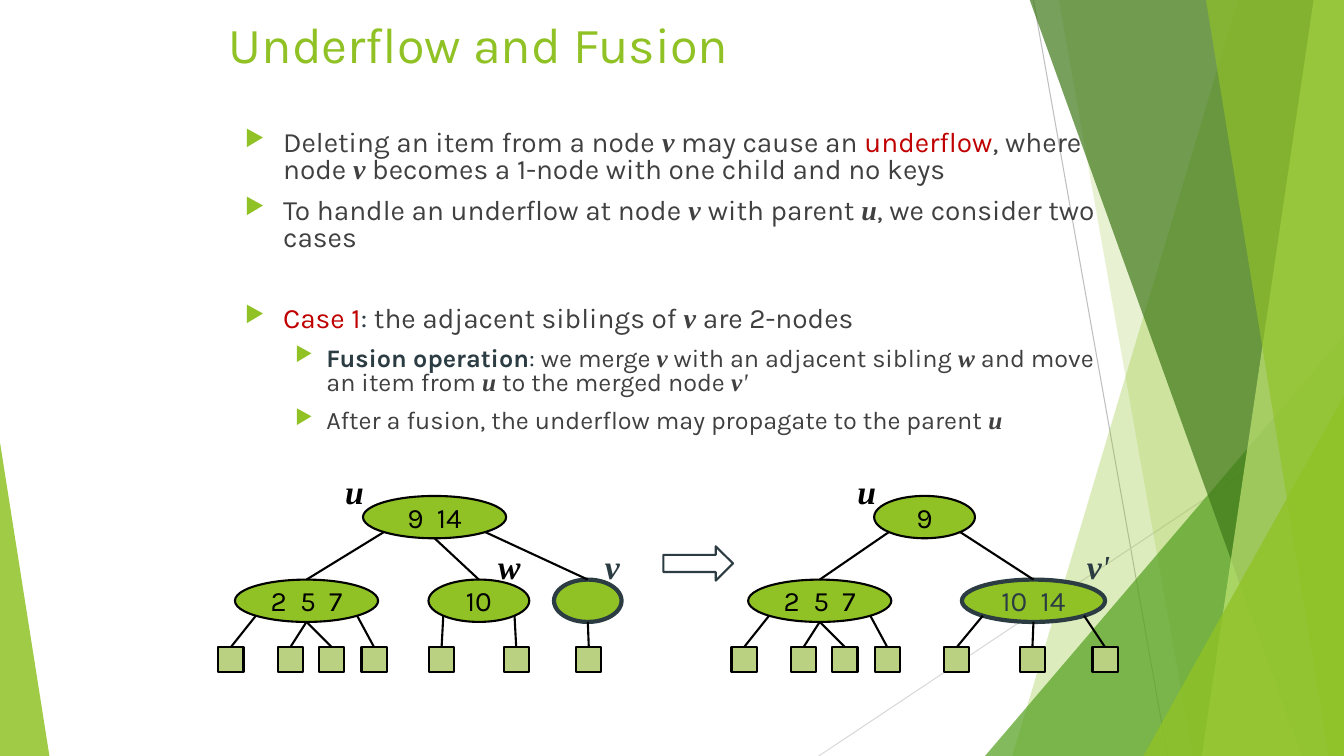
from lxml import etree
from pptx import Presentation
from pptx import util as u
from pptx.dml.color import RGBColor
from pptx.enum import shapes, text
from pptx.oxml import ns

COLORS = {
    "green": "90C226", "mid": "54A021", "deep": "3F7819", "lime": "C0E474",
    "leaf": "B9D181", "body": "404040", "dark": "2C3C43", "red": "C00000",
    "black": "000000", "grey": "BFBFBF", "pale": "D9D9D9",
}
SANS, SERIF = "Karla", "Times New Roman"
KINDS = shapes.MSO_SHAPE
NODE_H, LEAF = 0.42, 0.25
CHILD_TOP, LEAF_TOP = 5.75, 6.42


def rgb(name):
    return RGBColor.from_string(COLORS[name])


def add_run(p, content, size=20, color="body", font=SANS, bold=False, italic=False):
    r = p.add_run()
    r.text = content
    r.font.size, r.font.name = u.Pt(size), font
    r.font.bold, r.font.italic = bold, italic
    r.font.color.rgb = rgb(color)


def site(node, side, edge=1):
    """Point on an ellipse: side -1, 0 or 1; edge 1 is the lower half, -1 the upper."""
    cx, top, width = node
    k = 0.707 if side else 1
    return cx + side * k * width / 2, top + NODE_H / 2 * (1 + edge * k)


class Slide:
    def __init__(self, prs):
        self.s = prs.slides.add_slide(prs.slide_layouts[6])

    def paint(self, sp, fill=None, line=None, weight=1.5, alpha=None):
        sp.shadow.inherit = False
        if fill:
            sp.fill.solid()
            sp.fill.fore_color.rgb = rgb(fill)
            if alpha:
                clr = sp._element.spPr.find(".//" + ns.qn("a:srgbClr"))
                etree.SubElement(clr, ns.qn("a:alpha"), val=str(alpha * 1000))
        else:
            sp.fill.background()
        if line:
            sp.line.color.rgb = rgb(line)
            sp.line.width = u.Pt(weight)
        else:
            sp.line.fill.background()
        return sp

    def shape(self, kind, box, adj=(), **style):
        sp = self.s.shapes.add_shape(kind, *map(u.Inches, box))
        for i, value in enumerate(adj):
            sp.adjustments[i] = value
        return self.paint(sp, **style)

    def polygon(self, points, **style):
        pts = [(u.Inches(x), u.Inches(y)) for x, y in points]
        builder = self.s.shapes.build_freeform(*pts[0])
        builder.add_line_segments(pts[1:], close=True)
        return self.paint(builder.convert_to_shape(), **style)

    def line(self, start, end, color="black", weight=1.5):
        c = self.s.shapes.add_connector(
            shapes.MSO_CONNECTOR.STRAIGHT, *map(u.Inches, (*start, *end)))
        c.line.color.rgb = rgb(color)
        c.line.width = u.Pt(weight)
        etree.SubElement(c._element.spPr, ns.qn("a:effectLst"))

    def textbox(self, box, wrap=True):
        tf = self.s.shapes.add_textbox(*map(u.Inches, box)).text_frame
        tf.word_wrap = wrap
        return tf

    def bullet(self, p, level, before):
        p.line_spacing, p.space_before = 0.8, u.Pt(before)
        p.level = level
        margin, indent = ((0.38, -0.38), (0.81, -0.31))[level]
        pPr = p._p.get_or_add_pPr()
        pPr.set("marL", str(u.Inches(margin)))
        pPr.set("indent", str(u.Inches(indent)))
        clr = etree.SubElement(pPr, ns.qn("a:buClr"))
        etree.SubElement(clr, ns.qn("a:srgbClr"), val=COLORS["green"])
        etree.SubElement(pPr, ns.qn("a:buSzPct"), val="80000")
        etree.SubElement(pPr, ns.qn("a:buChar"), char="▶")

    def label(self, name, box, color="black"):
        tf = self.textbox(box, wrap=False)
        tf.margin_left = tf.margin_right = tf.margin_top = tf.margin_bottom = 0
        p = tf.paragraphs[0]
        p.alignment = text.PP_ALIGN.CENTER
        for ch in name:
            add_run(p, ch, size=24, color=color, font=SERIF, bold=ch != "'", italic=True)

    def node(self, keys, node, line="black", weight=1.5, color="black"):
        cx, top, width = node
        sp = self.shape(KINDS.OVAL, (cx - width / 2, top, width, NODE_H),
                        fill="green", line=line, weight=weight)
        if keys:
            tf = sp.text_frame
            tf.word_wrap = False
            tf.vertical_anchor = text.MSO_ANCHOR.MIDDLE
            p = tf.paragraphs[0]
            p.alignment = text.PP_ALIGN.CENTER
            add_run(p, keys, color=color)

    def tree(self, root_keys, root, children):
        self.node(root_keys, root)
        for keys, cx, width, root_side, leaves, style in children:
            child = (cx, CHILD_TOP, width)
            self.node(keys, child, **style)
            self.line(site(root, root_side), site(child, 0, -1))
            for dx, side in leaves:
                x = cx + dx
                self.shape(KINDS.RECTANGLE, (x - LEAF / 2, LEAF_TOP, LEAF, LEAF),
                           fill="leaf", line="black")
                self.line((x, LEAF_TOP), site(child, side))


# Body runs: plain strings, or (text, format) pairs
VAR = dict(font=SERIF, bold=True, italic=True)
RED, DARK = dict(color="red"), dict(color="dark")
V, U, W = ("v", VAR), ("u", VAR), ("w", VAR)
BODY = [  # level, space before, runs
    (0, 0, ["Deleting an item from a node ", V, " may cause an ", ("underflow", RED),
            ", where node ", V, " becomes a 1-node with one child and no keys"]),
    (0, 10, ["To handle an underflow at node ", ("v ", VAR), "with parent ", U,
             ", we consider two cases"]),
    (0, 39, [("Case 1", RED), (":", DARK), " the adjacent siblings of ", V,
             " are 2-nodes"]),
    (1, 10, [("Fusion operation", dict(color="dark", bold=True)), (":", DARK),
             " we merge ", V, " with an adjacent sibling ", W,
             " and move an item from ", U, " to the merged node ", V,
             ("'", dict(font=SERIF, italic=True))]),
    (1, 10, ["After a fusion, the underflow may propagate to the parent ", U]),
]

# Trees: keys, centre, width, side of the root, leaves (offset, side), style
FOUR_LEAVES = [(-0.75, -1), (-0.16, 0), (0.25, 0), (0.67, 1)]
BEFORE = [
    ("2  5  7", 3.04, 1.42, -1, FOUR_LEAVES, {}),
    ("10", 4.75, 1, 0, [(-0.37, -1), (0.37, 1)], {}),
    ("", 5.83, 0.67, 1, [(0.01, 0)], dict(line="dark", weight=3)),
]
AFTER = [
    ("2  5  7", 8.13, 1.42, -1, FOUR_LEAVES, {}),
    ("10  14", 10.25, 1.42, 1, [(-0.76, -1), (-0.01, 0), (0.71, 1)],
     dict(line="dark", weight=3, color="dark")),
]


def main():
    prs = Presentation()
    prs.slide_width, prs.slide_height = u.Inches(13.33), u.Inches(7.5)
    s = Slide(prs)

    # Background facets: upper-left, upper-right and lower-left x of each band
    def band(top_x, bottom_x, color, alpha):
        s.polygon([(top_x, -0.01), (13.33, -0.01), (13.33, 7.5), (bottom_x, 7.5)],
                  fill=color, alpha=alpha)

    def corner(box, adj, color, alpha):
        s.shape(KINDS.ISOSCELES_TRIANGLE, box, [adj], fill=color, alpha=alpha)

    s.line((10.25, 0), (11.58, 7.5), "grey", 0.75)
    s.line((13.33, 4.03), (8.12, 7.5), "pale", 0.75)
    band(12.28, 10.04, "green", 30)
    band(10.5, 11.83, "green", 20)
    corner((9.77, 3.33, 3.56, 4.17), 1, "mid", 72)
    band(10.21, 12.91, "deep", 70)
    band(13.03, 11.92, "lime", 70)
    band(11.96, 13.18, "green", 65)
    corner((11.34, 3.93, 1.99, 3.57), 1, "green", 80)
    corner((0, 4.39, 0.49, 3.11), 0, "green", 85)

    # Title and bullets
    title = s.textbox((2.17, 0.08, 9, 1))
    add_run(title.paragraphs[0], "Underflow and Fusion", size=36, color="green")
    tf = s.textbox((2.33, 1.25, 8.83, 3.25))
    for i, (level, before, runs) in enumerate(BODY):
        p = tf.add_paragraph() if i else tf.paragraphs[0]
        s.bullet(p, level, before)
        for run in runs:
            content, style = (run, {}) if isinstance(run, str) else run
            add_run(p, content, size=(20, 18)[level], **style)

    # Trees before and after the fusion
    s.tree("9  14", (4.31, 4.92, 1.42), BEFORE)
    s.tree("9", (9.17, 4.92, 1), AFTER)
    s.shape(KINDS.RIGHT_ARROW, (6.58, 5.42, 0.69, 0.34), (0.5, 0.504), line="dark")

    # Node names
    s.label("u", (3.42, 4.67, 0.19, 0.4))
    s.label("w", (4.94, 5.42, 0.22, 0.4))
    s.label("v", (6, 5.42, 0.15, 0.4), "dark")
    s.label("u", (8.5, 4.67, 0.19, 0.4))
    s.label("v'", (10.78, 5.42, 0.22, 0.4), "dark")

    prs.save("out.pptx")


if __name__ == "__main__":
    main()
